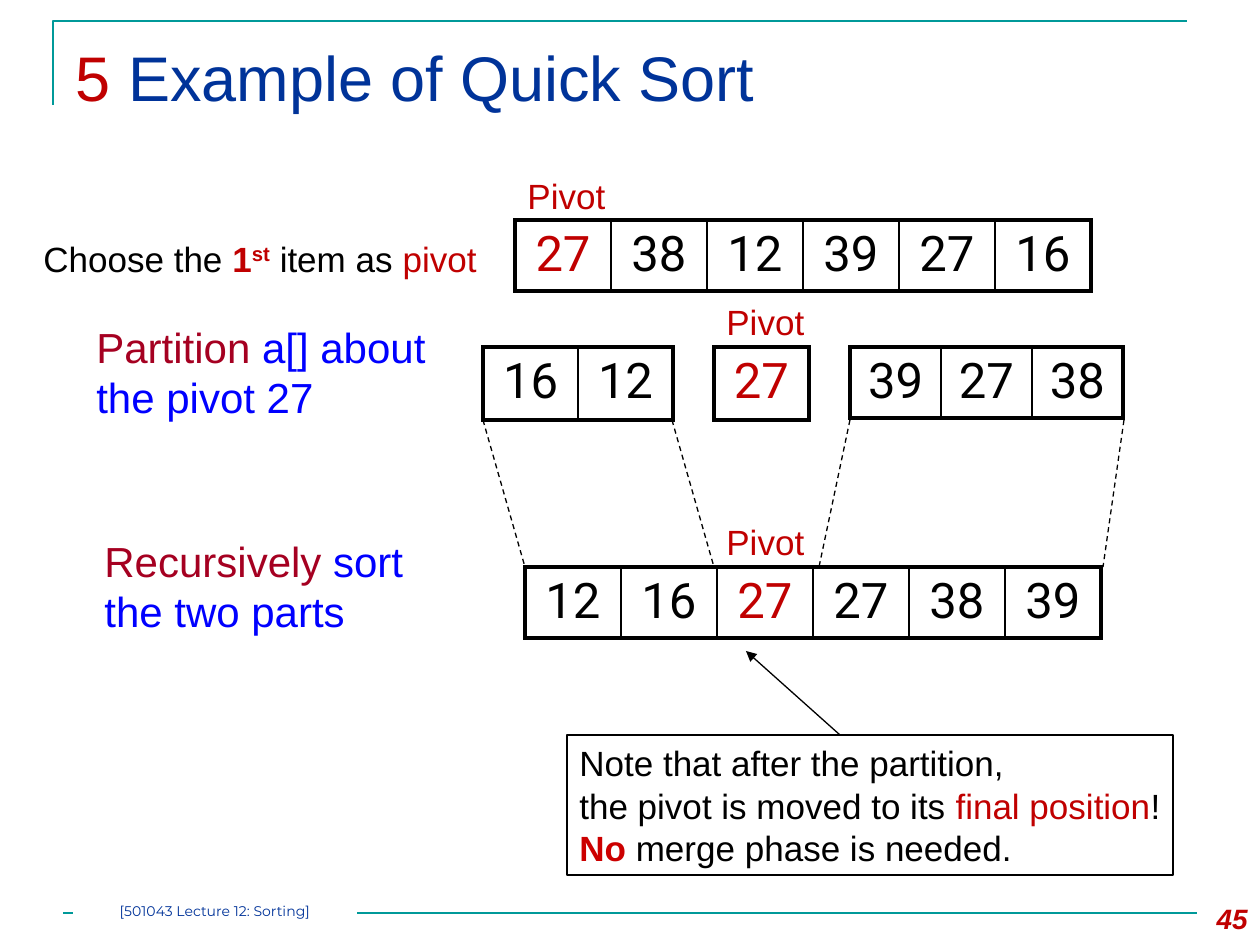
from lxml import etree
from pptx import Presentation
from pptx.dml.color import RGBColor
from pptx.enum.dml import MSO_LINE
from pptx.enum.shapes import MSO_CONNECTOR, MSO_SHAPE
from pptx.enum.text import MSO_ANCHOR, MSO_AUTO_SIZE, PP_ALIGN
from pptx.oxml.ns import qn
from pptx.util import Emu, Pt

STRAIGHT = MSO_CONNECTOR.STRAIGHT
RECTANGLE = MSO_SHAPE.RECTANGLE
DASH = MSO_LINE.DASH
LEFT, CENTER, RIGHT = PP_ALIGN.LEFT, PP_ALIGN.CENTER, PP_ALIGN.RIGHT
TOP, MIDDLE = MSO_ANCHOR.TOP, MSO_ANCHOR.MIDDLE
NO_AUTOFIT = MSO_AUTO_SIZE.NONE

EMU_PER_PX = 914400 / 126
COLORS = {
    "black": "000000",
    "white": "FFFFFF",
    "teal": "009999",
    "navy": "003399",
    "blue": "0000FF",
    "red": "C00000",
    "bright_red": "CC0000",
    "crimson": "A50021",
}
OUTER_BORDER, INNER_BORDER = 2.25, 1


def px(*lengths):
    return [Emu(round(length * EMU_PER_PX)) for length in lengths]


def rgb(name):
    return RGBColor.from_string(COLORS[name])


def add_run(paragraph, text, size=20, color="black", font="Arial",
            bold=False, italic=False, baseline=0):
    run = paragraph.add_run()
    run.text = text
    run.font.size = Pt(size)
    run.font.name = font
    run.font.bold = bold
    run.font.italic = italic
    run.font.color.rgb = rgb(color)
    if baseline:
        run.font._element.set("baseline", str(baseline * 1000))


def write_lines(frame, lines, align=LEFT, anchor=TOP, wrap=True, **defaults):
    frame.word_wrap = wrap
    frame.vertical_anchor = anchor
    for index, line in enumerate(lines):
        paragraph = frame.add_paragraph() if index else frame.paragraphs[0]
        paragraph.alignment = align
        for text, changes in line:
            add_run(paragraph, text, **{**defaults, **changes})


def add_text(slide, box, line, **settings):
    frame = slide.shapes.add_textbox(*px(*box)).text_frame
    write_lines(frame, [line], **settings)


def add_box(slide, box, fill=None, line=None):
    panel = slide.shapes.add_shape(RECTANGLE, *px(*box))
    panel.shadow.inherit = False
    if fill:
        panel.fill.solid()
        panel.fill.fore_color.rgb = rgb(fill)
    else:
        panel.fill.background()
    if line:
        panel.line.color.rgb = rgb(line)
        panel.line.width = Pt(0.75)
    else:
        panel.line.fill.background()
    return panel.text_frame


def add_line(slide, start, end, color="black", width=0.75, dash=None, arrow=False):
    connector = slide.shapes.add_connector(STRAIGHT, *px(*start, *end))
    connector.line.color.rgb = rgb(color)
    connector.line.width = Pt(width)
    if dash:
        connector.line.dash_style = dash
    if arrow:
        etree.SubElement(connector.line._get_or_add_ln(), qn("a:tailEnd"), type="triangle")
    etree.SubElement(connector._element.spPr, qn("a:effectLst"))


def set_borders(cell, first, last):
    widths = {
        "a:lnL": OUTER_BORDER if first else INNER_BORDER,
        "a:lnR": OUTER_BORDER if last else INNER_BORDER,
        "a:lnT": OUTER_BORDER,
        "a:lnB": OUTER_BORDER,
    }
    properties = cell._tc.get_or_add_tcPr()
    for side, width in widths.items():
        border = etree.SubElement(properties, qn(side), w=str(Pt(width)))
        fill = etree.SubElement(border, qn("a:solidFill"))
        etree.SubElement(fill, qn("a:srgbClr"), val=COLORS["black"])


def add_array(slide, left, top, values, cell_width, height, pivot=None):
    count = len(values)
    box = px(left, top, cell_width * count, height)
    table = slide.shapes.add_table(1, count, *box).table
    table.first_row = False
    table.horz_banding = False
    for index, value in enumerate(values):
        table.columns[index].width = px(cell_width)[0]
        cell = table.cell(0, index)
        set_borders(cell, index == 0, index == count - 1)
        cell.fill.background()
        cell.vertical_anchor = TOP
        paragraph = cell.text_frame.paragraphs[0]
        paragraph.alignment = CENTER
        add_run(paragraph, str(value), size=28, font="Roboto",
                color="red" if index == pivot else "black")


def add_title(slide):
    title = slide.shapes.title
    title.left, title.top, title.width, title.height = px(63, 32, 1134, 126)
    title.text_frame.auto_size = NO_AUTOFIT
    write_lines(title.text_frame,
                [[("5 ", {"color": "red"}), ("Example of Quick Sort", {})]],
                size=36, color="navy")


def add_frame(slide):
    builder = slide.shapes.build_freeform(53, 105, scale=EMU_PER_PX)
    builder.add_line_segments([(53, 21), (1187, 21)], close=False)
    corner = builder.convert_to_shape()
    corner.shadow.inherit = False
    corner.fill.background()
    corner.line.color.rgb = rgb("teal")
    corner.line.width = Pt(1.5)
    add_line(slide, (63, 913), (1197, 913), color="teal", width=1.5)


def add_footer(slide):
    footer = add_box(slide, (73, 903, 284, 21), fill="white")
    footer.margin_left = footer.margin_right = 0
    footer.margin_top = footer.margin_bottom = 0
    write_lines(footer, [[("[501043 Lecture 12: Sorting]", {})]], align=CENTER,
                size=8, font="Montserrat", color="navy")
    add_text(slide, (1176, 895, 84, 50), [("45", {})], align=RIGHT,
             size=16, color="red", bold=True, italic=True)


def add_arrays(slide):
    add_array(slide, 515, 220, [27, 38, 12, 39, 27, 16], 96, 71, pivot=0)
    add_array(slide, 483, 347, [16, 12], 95, 73)
    add_array(slide, 714, 347, [27], 95, 73, pivot=0)
    add_array(slide, 850, 347, [39, 27, 38], 91, 71)
    add_array(slide, 525, 567, [12, 16, 27, 27, 38, 39], 96, 71, pivot=2)
    for left, top in ((515, 168), (714, 294), (714, 514)):
        add_text(slide, (left, top, 105, 55), [("Pivot", {})], color="red", wrap=False)
    for part_x, sorted_x in ((483, 525), (672, 714), (850, 819), (1124, 1103)):
        add_line(slide, (part_x, 420), (sorted_x, 567), dash=DASH)


def add_steps(slide):
    add_text(slide, (31, 231, 465, 55), [
        ("Choose the ", {}),
        ("1", {"color": "red", "bold": True}),
        ("st", {"color": "red", "bold": True, "baseline": 30}),
        (" item as ", {}),
        ("pivot", {"color": "red"}),
    ], wrap=False)
    steps = (
        ((84, 315, 391, 113), "Partition", " a[] about the pivot 27"),
        ((92, 529, 380, 113), "Recursively", " sort the two parts"),
    )
    for box, action, detail in steps:
        add_text(slide, box, [(action, {"color": "crimson"}), (detail, {})],
                 size=24, color="blue")


def add_note(slide):
    note = add_box(slide, (567, 735, 606, 140), line="black")
    write_lines(note, [
        [("Note that after the partition,", {})],
        [("the pivot is moved to its ", {}), ("final position", {"color": "red"}), ("!", {})],
        [("No", {"color": "bright_red", "bold": True}), (" merge phase is needed.", {})],
    ], anchor=MIDDLE, wrap=False)
    add_line(slide, (840, 735), (746, 651), arrow=True)


def main():
    presentation = Presentation()
    presentation.slide_width, presentation.slide_height = px(1260, 945)
    slide = presentation.slides.add_slide(presentation.slide_layouts[5])
    add_frame(slide)
    add_title(slide)
    add_arrays(slide)
    add_steps(slide)
    add_note(slide)
    add_footer(slide)
    presentation.save("out.pptx")


if __name__ == "__main__":
    main()
